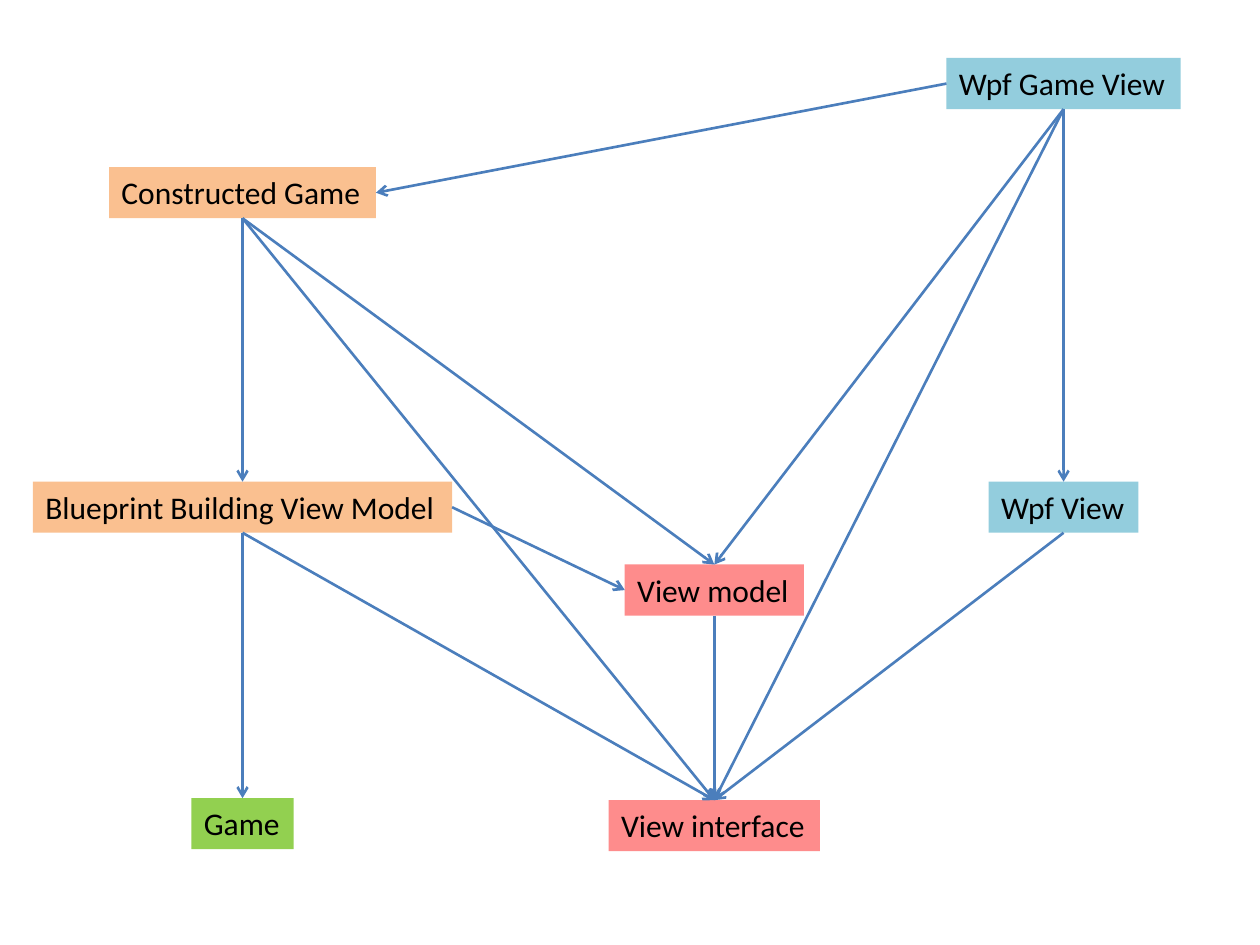
from lxml.etree import SubElement
from pptx import Presentation
from pptx.dml.color import RGBColor
from pptx.enum.shapes import MSO_CONNECTOR, MSO_SHAPE
from pptx.enum.text import MSO_ANCHOR, MSO_AUTO_SIZE, PP_ALIGN
from pptx.oxml.ns import qn
from pptx.util import Cm, Pt

COLORS = {
    "game": "92D050",
    "view": "FE8C8C",
    "wpf": "93CDDD",
    "blueprint": "FAC090",
    "arrow": "4B7EBC",
    "text": "000000",
}

BOX_HEIGHT = 1.03
BLUEPRINT_AXIS, VIEW_AXIS, WPF_AXIS = 4.89, 14.4, 21.44

# label, colour, centre x, top, width (cm)
MODULES = [
    ("Game", "game", BLUEPRINT_AXIS, 16.09, 2.06),
    ("View model", "view", VIEW_AXIS, 11.38, 3.61),
    ("View interface", "view", VIEW_AXIS, 16.13, 4.26),
    ("Wpf View", "wpf", WPF_AXIS, 9.71, 3.02),
    ("Blueprint Building View Model", "blueprint", BLUEPRINT_AXIS, 9.71, 8.45),
    ("Wpf Game View", "wpf", WPF_AXIS, 1.17, 4.72),
    ("Constructed Game", "blueprint", BLUEPRINT_AXIS, 3.37, 5.38),
]

# Connection sites of a rectangle
TOP, LEFT, BOTTOM, RIGHT = range(4)

DEPENDENCIES = [
    ("View model", BOTTOM, "View interface", TOP),
    ("Wpf View", BOTTOM, "View interface", TOP),
    ("Wpf Game View", BOTTOM, "View model", TOP),
    ("Wpf Game View", BOTTOM, "View interface", TOP),
    ("Wpf Game View", BOTTOM, "Wpf View", TOP),
    ("Blueprint Building View Model", BOTTOM, "Game", TOP),
    ("Blueprint Building View Model", RIGHT, "View model", LEFT),
    ("Blueprint Building View Model", BOTTOM, "View interface", TOP),
    ("Constructed Game", BOTTOM, "Blueprint Building View Model", TOP),
    ("Wpf Game View", LEFT, "Constructed Game", RIGHT),
    ("Constructed Game", BOTTOM, "View model", TOP),
    ("Constructed Game", BOTTOM, "View interface", TOP),
]


def rgb(name):
    """Return the named colour."""
    return RGBColor.from_string(COLORS[name])


def add_module(slide, label, color, center, top, width):
    """Add a filled, labelled box centred on a vertical axis."""
    module = slide.shapes.add_shape(
        MSO_SHAPE.RECTANGLE,
        Cm(center - width / 2), Cm(top), Cm(width), Cm(BOX_HEIGHT))
    module.shadow.inherit = False
    module.fill.solid()
    module.fill.fore_color.rgb = rgb(color)
    module.line.fill.background()

    frame = module.text_frame
    frame.word_wrap = False
    frame.auto_size = MSO_AUTO_SIZE.SHAPE_TO_FIT_TEXT
    frame.vertical_anchor = MSO_ANCHOR.TOP
    paragraph = frame.paragraphs[0]
    paragraph.alignment = PP_ALIGN.LEFT
    run = paragraph.add_run()
    run.text = label
    run.font.name = "Calibri"
    run.font.size = Pt(18)
    run.font.color.rgb = rgb("text")
    return module


def add_dependency(slide, user, user_site, used, used_site):
    """Join two modules with an arrow pointing at the used one."""
    arrow = slide.shapes.add_connector(MSO_CONNECTOR.STRAIGHT, 0, 0, 0, 0)
    arrow.begin_connect(user, user_site)
    arrow.end_connect(used, used_site)
    arrow.line.color.rgb = rgb("arrow")
    arrow.line.width = Pt(1.5)
    SubElement(arrow.line._get_or_add_ln(), qn("a:tailEnd"), type="arrow")
    SubElement(arrow._element.spPr, qn("a:effectLst"))


def main():
    """Build the module dependency diagram."""
    presentation = Presentation()
    presentation.slide_width, presentation.slide_height = Cm(25.4), Cm(19.05)
    slide = presentation.slides.add_slide(presentation.slide_layouts[6])

    modules = {row[0]: add_module(slide, *row) for row in MODULES}
    for user, user_site, used, used_site in DEPENDENCIES:
        add_dependency(slide, modules[user], user_site, modules[used], used_site)

    presentation.save("out.pptx")


main()
